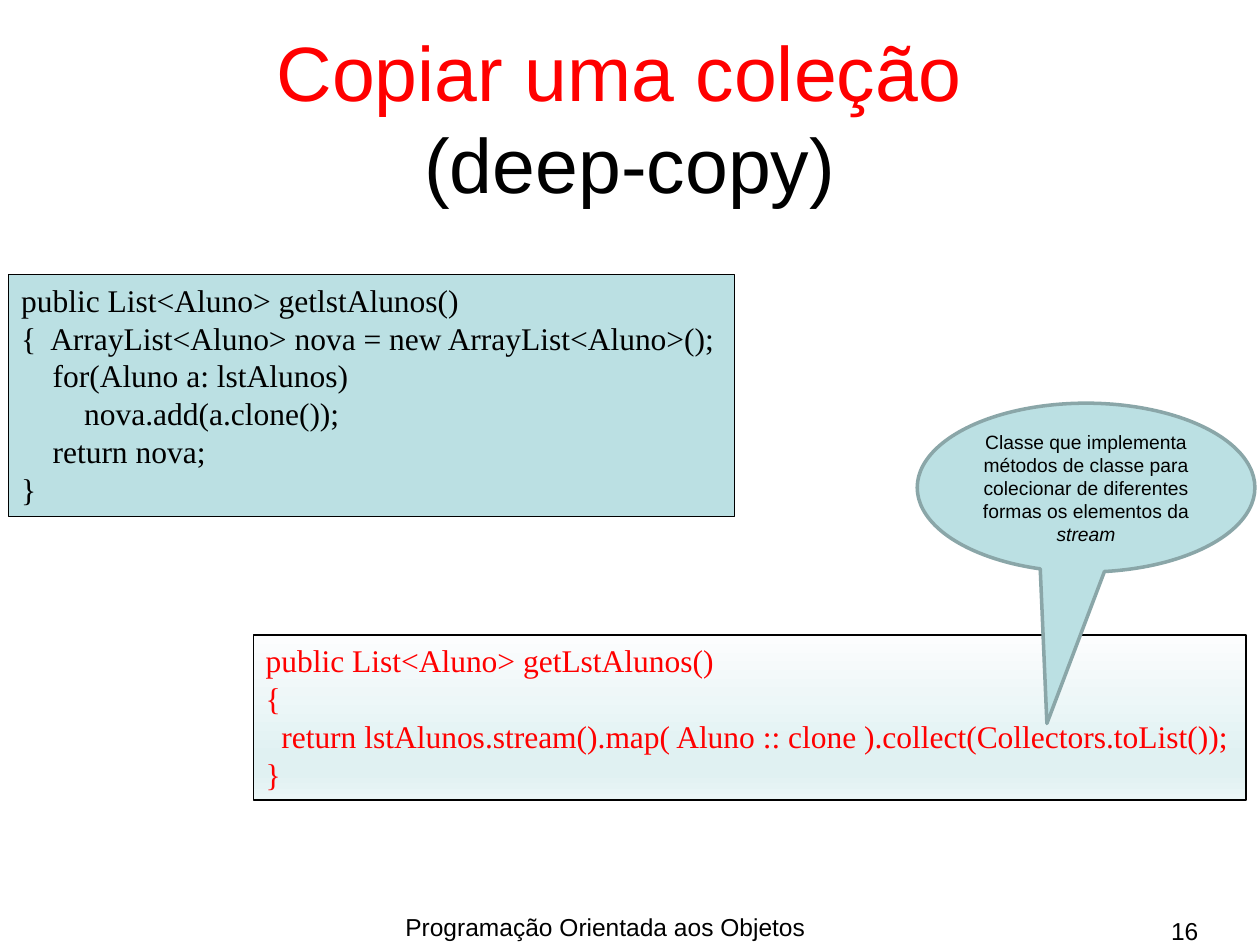
from lxml import etree
from pptx import Presentation
from pptx.dml.color import RGBColor
from pptx.enum import shapes, text
from pptx.oxml.ns import qn
from pptx.util import Inches, Pt

BLACK = RGBColor(0x00, 0x00, 0x00)
RED = RGBColor(0xFF, 0x00, 0x00)
PALE_TEAL = RGBColor(0xBB, 0xE0, 0xE3)
TEAL_EDGE = RGBColor(0x8A, 0xA6, 0xA8)
CODE_GRADIENT = [
    (0, RGBColor(0xFC, 0xFD, 0xFE)),
    (74, RGBColor(0xE0, 0xF1, 0xF2)),
    (83, RGBColor(0xE0, 0xF1, 0xF2)),
    (100, RGBColor(0xEB, 0xF6, 0xF7)),
]

LOOP_CODE = """public List<Aluno> getlstAlunos()
{  ArrayList<Aluno> nova = new ArrayList<Aluno>();
    for(Aluno a: lstAlunos)
\tnova.add(a.clone());
    return nova;
}"""
STREAM_CODE = """public List<Aluno> getLstAlunos()
{
  return lstAlunos.stream().map( Aluno :: clone ).collect(Collectors.toList());
}"""


def style(paragraph, size, color=BLACK, name="Arial", align=text.PP_ALIGN.LEFT):
    paragraph.alignment = align
    paragraph.font.size = Pt(size)
    paragraph.font.name = name
    paragraph.font.color.rgb = color


def add_label(slide, box, words, size, align):
    frame = slide.shapes.add_textbox(*map(Inches, box)).text_frame
    frame.word_wrap = True
    label = frame.paragraphs[0]
    label.text = words
    style(label, size, align=align)
    return frame


def add_title(slide, box, first, second):
    frame = add_label(slide, box, "", 44, text.PP_ALIGN.CENTER)
    frame.vertical_anchor = text.MSO_ANCHOR.MIDDLE
    heading = frame.paragraphs[0]
    topic = heading.add_run()
    topic.text = first
    topic.font.color.rgb = RED
    heading.add_line_break()
    heading.add_run().text = second


def add_panel(slide, kind, box, edge, edge_width):
    panel = slide.shapes.add_shape(kind, *map(Inches, box))
    panel.shadow.inherit = False
    panel.fill.solid()
    panel.fill.fore_color.rgb = PALE_TEAL
    panel.line.color.rgb = edge
    panel.line.width = Pt(edge_width)
    panel.text_frame.word_wrap = True
    return panel


def fill_downwards(shape, stops):
    shape.fill.gradient()
    shape.fill.gradient_angle = 270
    stop_list = next(shape.element.spPr.iter(qn("a:gsLst")))
    for old_stop in list(stop_list):
        stop_list.remove(old_stop)
    for percent, color in stops:
        stop = etree.SubElement(stop_list, qn("a:gs"), pos=str(percent * 1000))
        etree.SubElement(stop, qn("a:srgbClr"), val=str(color))


def add_code(slide, box, code, color):
    panel = add_panel(slide, shapes.MSO_SHAPE.RECTANGLE, box, BLACK, 0.75)
    frame = panel.text_frame
    frame.vertical_anchor = text.MSO_ANCHOR.TOP
    frame.text = code
    for line in frame.paragraphs:
        style(line, 18, color, "Times New Roman")
    return panel


def add_callout(slide, box, tip, words, emphasis):
    callout = add_panel(slide, shapes.MSO_SHAPE.OVAL_CALLOUT, box, TEAL_EDGE, 2)
    callout.adjustments[0], callout.adjustments[1] = tip
    callout.text_frame.vertical_anchor = text.MSO_ANCHOR.MIDDLE
    note = callout.text_frame.paragraphs[0]
    style(note, 11, align=text.PP_ALIGN.CENTER)
    note.add_run().text = words
    stressed = note.add_run()
    stressed.text = emphasis
    stressed.font.italic = True


def main():
    deck = Presentation()
    deck.slide_width, deck.slide_height = Inches(10), Inches(7.5)
    slide = deck.slides.add_slide(deck.slide_layouts[6])

    # Title and footer
    add_title(slide, (0.5, 0.3, 9, 1.25), "Copiar uma coleção ", "(deep-copy)")
    add_label(slide, (2.48, 7.19, 4.65, 0.31),
              "Programação Orientada aos Objetos", 14, text.PP_ALIGN.CENTER)
    add_label(slide, (7.28, 7.22, 2.33, 0.21), "16", 14, text.PP_ALIGN.RIGHT)

    # The two ways of copying: loop and stream
    add_code(slide, (0.07, 2.18, 5.76, 1.92), LOOP_CODE, BLACK)
    stream_panel = add_code(slide, (2.01, 5.04, 7.88, 1.31), STREAM_CODE, RED)
    fill_downwards(stream_panel, CODE_GRADIENT)

    # Explanation of Collectors
    add_callout(slide, (7.28, 3.2, 2.68, 1.34), (-0.116, 1.397),
                "Classe que implementa métodos de classe para colecionar "
                "de diferentes formas os elementos da ", "stream")

    deck.save("out.pptx")


if __name__ == "__main__":
    main()
